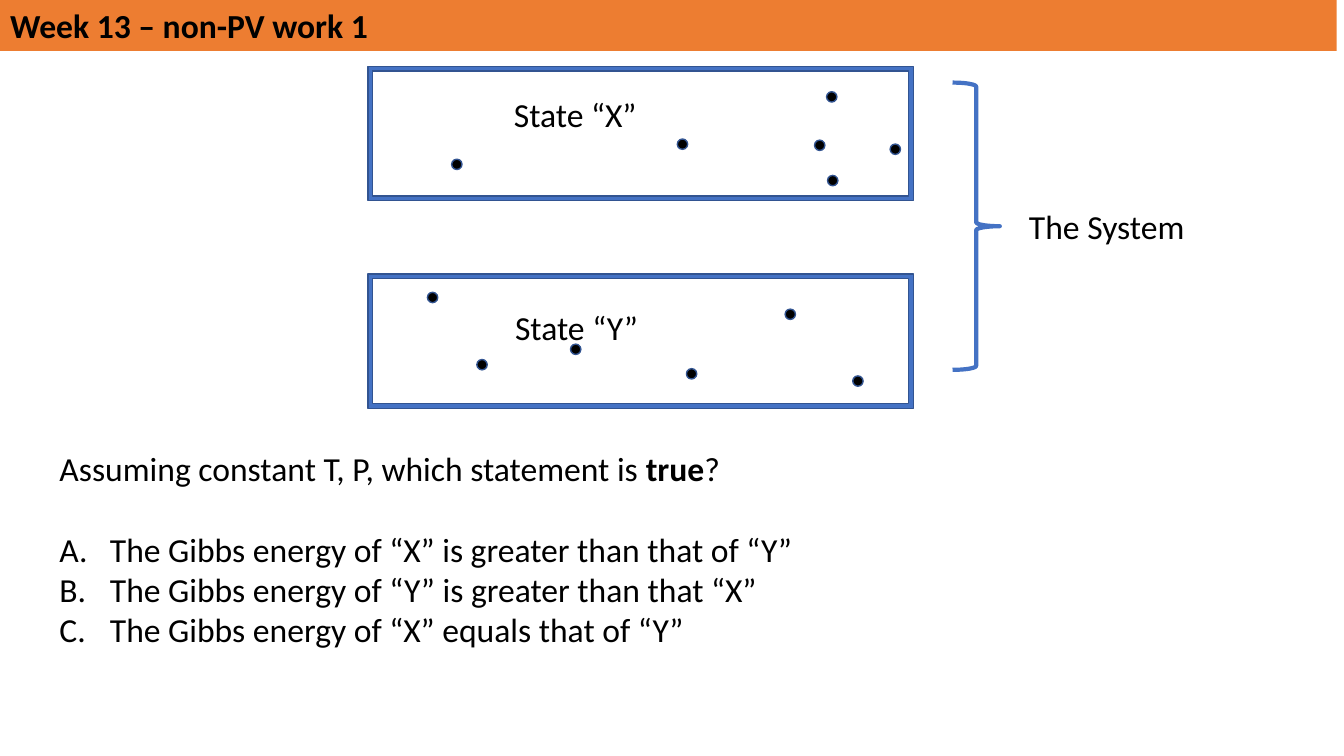
"""Build the Week 13 non-PV work question slide."""
from lxml import etree
from pptx import Presentation
from pptx.dml.color import RGBColor
from pptx.enum.shapes import MSO_SHAPE
from pptx.enum.text import MSO_ANCHOR, MSO_AUTO_SIZE, PP_ALIGN
from pptx.oxml.ns import qn
from pptx.util import Pt

FRAME, OVAL, BRACE = MSO_SHAPE.FRAME, MSO_SHAPE.OVAL, MSO_SHAPE.RIGHT_BRACE
TOP, MIDDLE, LEFT = MSO_ANCHOR.TOP, MSO_ANCHOR.MIDDLE, PP_ALIGN.LEFT
NO_FIT = MSO_AUTO_SIZE.NONE
COLORS = {
    name: RGBColor.from_string(value)
    for name, value in {
        "bar": "ED7D31", "blue": "4472C4", "edge": "325491", "black": "000000",
    }.items()
}
FRAME_X, FRAME_W, FRAME_H, DOT = 262.8, 389.5, 95.8, 7.4


def add_run(p, text, bold=False):
    r = p.add_run()
    r.text = text
    r.font.name, r.font.size, r.font.bold = "Calibri", Pt(24), bold
    r.font.color.rgb = COLORS["black"]


def add_item(shapes, kind, x, y, w, h, fill=None, text=None):
    box = [Pt(v) for v in (x, y, w, h)]
    if text:
        sp = shapes.add_textbox(*box)
        sp.text_frame.word_wrap = True
        add_run(sp.text_frame.paragraphs[0], text)
        return sp
    sp = shapes.add_shape(kind, *box)
    sp.shadow.inherit = False
    if fill:
        sp.fill.solid()
        sp.fill.fore_color.rgb = COLORS[fill]
    else:
        sp.fill.background()
    sp.line.color.rgb = COLORS["edge" if fill else "blue"]
    sp.line.width = Pt(1 if fill else 3)
    return sp


prs = Presentation()
prs.slide_width, prs.slide_height = Pt(960), Pt(540)
s = prs.slides.add_slide(prs.slide_layouts[1])
title, body = s.shapes.title, s.placeholders[1]

title.left, title.top, title.width, title.height = Pt(0), Pt(0), Pt(954.7), Pt(36.35)
title.fill.solid()
title.fill.fore_color.rgb = COLORS["bar"]
tf = title.text_frame
tf.auto_size, tf.vertical_anchor = NO_FIT, MIDDLE
tf.paragraphs[0].alignment = LEFT
add_run(tf.paragraphs[0], "Week 13 – non-PV work 1", True)

states = [
    ("State “Y”", 195.8, (98, 20.2),
     [(42.5, 13), (298, 25), (227.5, 67.5), (144.7, 50), (77.8, 61), (346.3, 72.7)]),
    ("State “X”", 47.5, (97.2, 15.8),
     [(327.6, 18), (221, 51.8), (319, 52.6), (373, 55.4), (59.8, 66.2), (328.3, 77.8)]),
]
for name, top, (label_x, label_y), dots in states:
    group = s.shapes.add_group_shape()
    frame = add_item(group.shapes, FRAME, FRAME_X, top, FRAME_W, FRAME_H, "blue")
    frame.adjustments[0] = 0.033
    for x, y in dots:
        add_item(group.shapes, OVAL, FRAME_X + x, top + y, DOT, DOT, "black")
    add_item(group.shapes, None, FRAME_X + label_x, top + label_y, 185.8, 36.35, text=name)

system = s.shapes.add_group_shape()
add_item(system.shapes, BRACE, 680.4, 59, 33.8, 205.2)
add_item(system.shapes, None, 727.9, 143.3, 149.8, 36.35, text="The System")

body.left, body.top, body.width, body.height = Pt(35.3), Pt(316.1), Pt(884.2), Pt(152.6)
tf = body.text_frame
tf.auto_size, tf.vertical_anchor = NO_FIT, TOP
paragraphs = [
    [("Assuming constant T, P, which statement is ", False), ("true", True), ("?", False)],
    [("The Gibbs energy of “X” is greater than that of “Y”", False)],
    [("The Gibbs energy of “Y” is greater than that “X”", False)],
    [("The Gibbs energy of “X” equals that of “Y”", False)],
]
for i, runs in enumerate(paragraphs):
    p = tf.paragraphs[0] if i == 0 else tf.add_paragraph()
    p.space_before, p.space_after = Pt(0), Pt(0 if i else 29)
    pPr = p._p.get_or_add_pPr()
    pPr.set("marL", str(Pt(36 if i else 0)))
    pPr.set("indent", str(Pt(-36 if i else 0)))
    if i:
        etree.SubElement(pPr, qn("a:buFont"), typeface="+mj-lt")
        etree.SubElement(pPr, qn("a:buAutoNum"), type="alphaUcPeriod")
    else:
        etree.SubElement(pPr, qn("a:buNone"))
    for text, bold in runs:
        add_run(p, text, bold)

prs.save("out.pptx")
